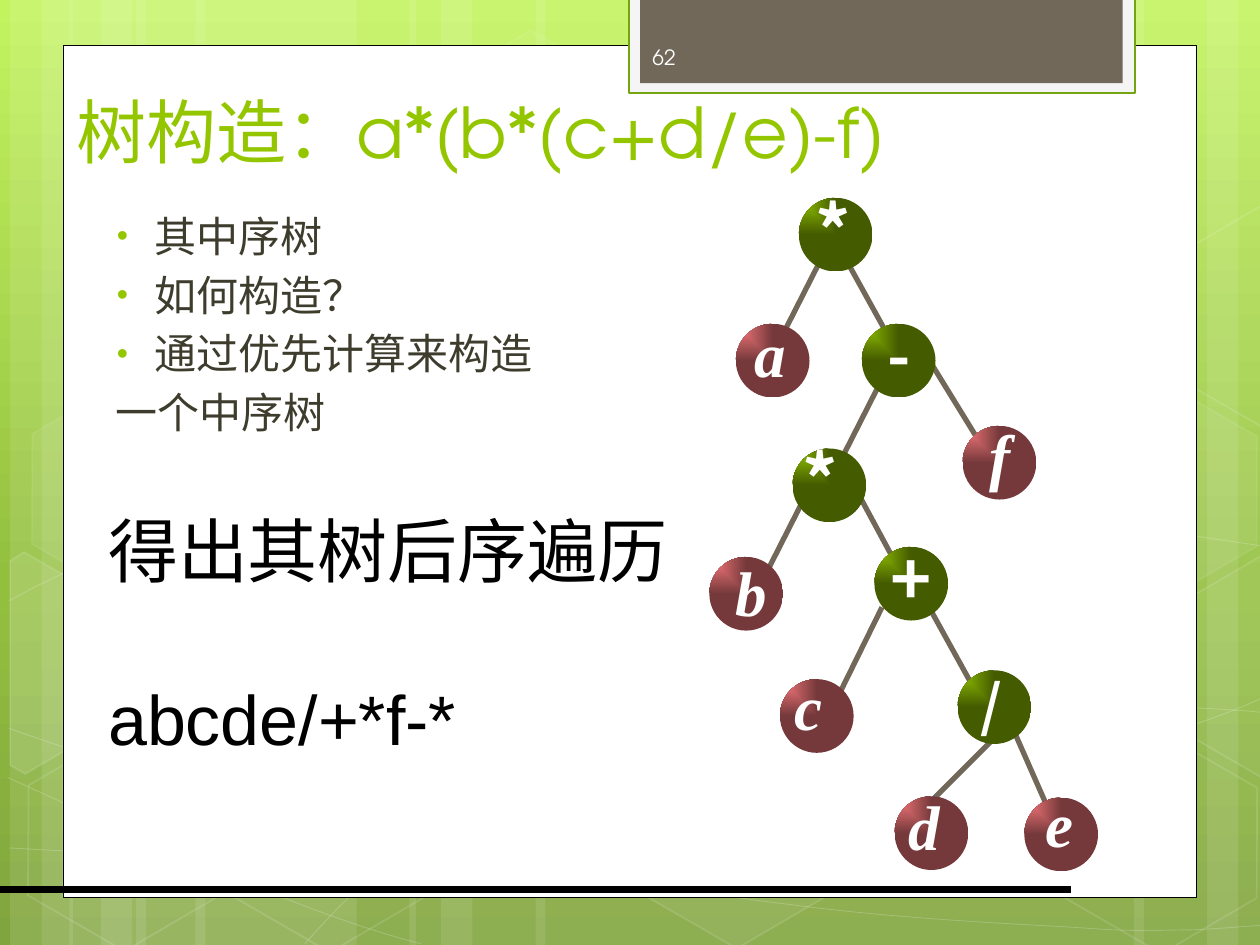
import math

import pptx
import pptx.dml.color
import pptx.enum.shapes
import pptx.enum.text
import pptx.oxml
import pptx.oxml.ns
import pptx.util

COLORS = {
    "white": "FFFFFF", "black": "000000", "lime": "94C600", "rose": "FF7C80",
    "taupe": "71685A", "frame": "F5F5F5", "frame_line": "74A510",
    "body": "3E3D2D", "number": "FEFEFE",
    "sky": "C3F35F", "meadow": "93BF3F", "ground": "81A53E",
}
HEADING_FONT, SYMBOL_FONT = "TeX Gyre Adventor", "Noto Sans CJK SC"
SHAPES = pptx.enum.shapes.MSO_SHAPE
NAMESPACE = pptx.oxml.ns.nsdecls("a")

presentation = pptx.Presentation()
presentation.slide_width = pptx.util.Inches(10)
presentation.slide_height = pptx.util.Inches(7.5)
slide = presentation.slides.add_slide(presentation.slide_layouts[6])
# Grid of 100 columns by 75 rows; every length below counts cells
CELL = presentation.slide_width // 100


def paint(shape, fill=None, alpha=100, line=None, width=1, line_alpha=100):
    """Fill and outline a shape or connector, without shadow."""
    properties = shape._element.spPr
    if fill:
        shape.fill.solid()
        shape.fill.fore_color.rgb = pptx.dml.color.RGBColor.from_string(COLORS[fill])
    elif hasattr(shape, "fill"):
        shape.fill.background()
    if line:
        shape.line.color.rgb = pptx.dml.color.RGBColor.from_string(COLORS[line])
        shape.line.width = pptx.util.Pt(width)
    else:
        shape.line.fill.background()
    for query, value in (("a:solidFill/a:srgbClr", alpha), ("a:ln/a:solidFill/a:srgbClr", line_alpha)):
        for color in properties.xpath(query):
            if value < 100:
                color.append(pptx.oxml.parse_xml(f'<a:alpha {NAMESPACE} val="{value * 1000}"/>'))
    properties.append(pptx.oxml.parse_xml(f"<a:effectLst {NAMESPACE}/>"))


def add_text(box, lines, size, font, color, anchor="TOP", wrap=True, bold=None, italic=None):
    """Add a text box at (left, top, width, height) and return its paragraphs."""
    frame = slide.shapes.add_textbox(*(round(cells * CELL) for cells in box)).text_frame
    frame.text = "\n".join(lines)
    frame.word_wrap = wrap
    frame.vertical_anchor = getattr(pptx.enum.text.MSO_ANCHOR, anchor)
    for paragraph in frame.paragraphs:
        for run in paragraph.runs:
            run.font.size = pptx.util.Pt(size)
            run.font.name = font
            run.font.bold, run.font.italic = bold, italic
            run.font.color.rgb = pptx.dml.color.RGBColor.from_string(COLORS[color])
            run.font._element.find(pptx.oxml.ns.qn("a:latin")).addnext(
                pptx.oxml.parse_xml(f'<a:ea {NAMESPACE} typeface="{font}"/>'))
    return frame.paragraphs


# Background gradient
slide.background.fill.solid()
background_fill = slide.background._cSld.bg.bgPr.find(pptx.oxml.ns.qn("a:solidFill"))
stops = "".join(
    f'<a:gs pos="{position * 1000}"><a:srgbClr val="{COLORS[name]}"/></a:gs>'
    for position, name in ((0, "sky"), (62, "meadow"), (100, "ground")))
background_fill.getparent().replace(background_fill, pptx.oxml.parse_xml(
    f'<a:gradFill {NAMESPACE} rotWithShape="1"><a:gsLst>{stops}</a:gsLst>'
    '<a:lin ang="5400000" scaled="0"/></a:gradFill>'))

# Translucent vertical bands: left, width
for left, width in (
    (10.8, 17.5), (0.8, 5), (3.3, 8.3), (15.5, 17.5), (5.5, 5), (8, 8.3),
    (73.3, 17.5), (95.8, 5), (90, 8.3), (42.5, 30.8), (32.5, 5), (35, 8.3),
):
    band = slide.shapes.add_shape(
        SHAPES.RECTANGLE, round(left * CELL), 0, round(width * CELL), presentation.slide_height)
    paint(band, "white", 10)

# Thin curves: a start point, then three points for each Bezier piece;
# the number is the index of a point reached by a straight line
for straight, points in (
    (None, [(0.7, 67.3), (6.1, 67.6), (11.5, 67.9), (19, 67.8), (26.5, 67.7), (35.8, 67.5), (45.8, 66.5),
            (55.8, 65.5), (70, 63.6), (79.2, 61.7), (88.3, 59.8), (97.7, 56.8), (100.7, 55.1)]),
    (None, [(0.7, 47.7), (3.6, 46.1), (6.5, 44.6), (12.1, 43.1), (17.8, 41.6), (25.9, 39.4), (34.7, 38.7),
            (43.6, 38), (54.4, 37.9), (65.4, 38.7), (76.4, 39.5), (94.7, 42.6), (100.7, 43.4)]),
    (None, [(0.6, 61.7), (12.7, 67.2), (24.7, 72.7), (33.4, 74.9)]),
    (None, [(0.7, 57.8), (3.8, 58.9), (7, 60), (12.8, 61.6), (18.6, 63.1), (27.3, 65.6), (35.7, 67.3),
            (44, 69), (54.5, 70.8), (62.8, 71.8), (71.1, 72.9), (80, 73.3), (85.3, 73.6),
            (90.5, 74), (91.9, 73.8), (94.5, 73.8), (97.1, 73.7), (98.9, 73.5), (100.7, 73.4)]),
    (22, [(24.2, 74.9), (26, 72.9), (27.8, 70.9), (30.2, 69.1), (32.6, 67.3), (36, 65.3), (38.8, 63.9),
          (41.6, 62.5), (43.3, 61.9), (47, 60.9), (50.6, 59.9), (57.3, 58.5), (60.8, 57.8),
          (64.4, 57.1), (64.9, 57.1), (68, 56.9), (71.1, 56.6), (76, 56.3), (79.4, 56.2),
          (82.9, 56.1), (88.6, 56.2), (88.6, 56.2), (95.3, 56.2), (97.1, 56.3), (98.8, 56.4),
          (99.7, 56.5), (100.6, 56.6), (100.3, 56.5), (100.6, 56.6)]),
):
    points = [(x * CELL, y * CELL) for x, y in points]
    builder = slide.shapes.build_freeform(*points[0])
    builder.add_line_segments(points[1:], close=False)
    curve = builder.convert_to_shape()
    segments = curve._element.spPr.xpath(".//a:lnTo")
    if straight:
        segments.pop(straight - 1)
    for index in range(0, len(segments), 3):
        bezier = pptx.oxml.parse_xml(f"<a:cubicBezTo {NAMESPACE}/>")
        segments[index].addprevious(bezier)
        for segment in segments[index:index + 3]:
            bezier.append(segment[0])
            segment.getparent().remove(segment)
    paint(curve, line="white", width=0.5, line_alpha=20)

# Hexagons: left, top, fill opacity, line opacity
TILT = 30
for left, top, alpha, line_alpha in (
    (33.4, 3.6, 4, 8), (49.7, 58.9, 6, 12), (1.1, 59.1, 0, 12), (1.4, 31.2, 7, 8), (17.4, 59.2, 0, 12),
    (75.3, 45.3, 10, 12), (83.4, 59.3, 0, 12), (83.4, 31.4, 7, 8),
):
    hexagon = slide.shapes.add_shape(
        SHAPES.HEXAGON, *(round(cells * CELL) for cells in (left, top, 17.5, 15.2)))
    hexagon.adjustments[0] = 0.285
    hexagon.rotation = TILT
    paint(hexagon, "white" if alpha else None, alpha, "white", 1, line_alpha)

# Hexagons cut off by the slide edges: opacity, centre, corners as they stand when tilted
cosine, sine = math.cos(math.radians(TILT)), math.sin(math.radians(TILT))
for alpha, (middle_x, middle_y), corners in (
    (10, (3.6, 53.5), [(0.8, 44.5), (1.9, 43.8), (9.6, 48.2), (9.5, 57), (2, 61.4), (0.8, 60.7)]),
    (4, (98.5, 52), [(92.6, 48.5), (100.1, 44.1), (100.9, 44.6), (100.9, 61.3), (100.2, 61.7), (92.6, 57.3)]),
    (0, (98.5, 24.1), [(92.6, 20.7), (100.1, 16.3), (101, 16.8), (100.9, 33.5), (100.2, 33.9), (92.6, 29.5)]),
):
    corners = [((middle_x + (x - middle_x) * cosine + (y - middle_y) * sine) * CELL,
                (middle_y - (x - middle_x) * sine + (y - middle_y) * cosine) * CELL) for x, y in corners]
    builder = slide.shapes.build_freeform(*corners[0])
    builder.add_line_segments(corners[1:], close=True)
    piece = builder.convert_to_shape()
    piece.rotation = TILT
    paint(piece, "white" if alpha else None, alpha, "white", 1, 12)

# White panel and the page number tab
for box, fill, line, width in (
    ((5, 3.6, 90, 67.6), "white", "black", 0.5),
    ((49.9, -0.2, 40.2, 7.6), "frame", "frame_line", 1.25),
    ((50.8, -0.2, 38.3, 6.8), "taupe", None, 0),
):
    panel = slide.shapes.add_shape(SHAPES.RECTANGLE, *(round(cells * CELL) for cells in box))
    paint(panel, fill, line=line, width=width)

# Bottom rule, then tree branches: from x, from y, to x, to y
branches = (
    (66.7, 19.8, 70.9, 27.4), (70.1, 29.9, 66.7, 36.6), (65.1, 20.7, 61.7, 27.4), (74, 29, 78, 35.5),
    (67.1, 37.3, 71.2, 44.9), (63.7, 39.8, 60.3, 46.5), (73.3, 47.4, 77.5, 55), (70, 48.2, 66.7, 54.9),
    (80.2, 57.4, 83.5, 64.9), (79.2, 58.3, 72.6, 64.9),
)
for ends, color, width in [((0, 70.6, 85, 70.6), "black", 4.5)] + [(ends, "taupe", 3) for ends in branches]:
    connector = slide.shapes.add_connector(
        pptx.enum.shapes.MSO_CONNECTOR.STRAIGHT, *(round(cells * CELL) for cells in ends))
    paint(connector, line=color, width=width)

# Tree nodes: label, node left and top, label left, top and width, label size
NODE = 5.85
LABEL_HEIGHTS = {40: 7.7, 36: 7, 32: 6.3}
for label, left, top, label_left, label_top, label_width, size in (
    ("*", 63.4, 15.7, 63.7, 14.4, 4.8, 40), ("a", 58.4, 25.7, 58.9, 24.5, 4.5, 36),
    ("-", 68.4, 25.7, 69.1, 24.6, 4.5, 36), ("*", 62.9, 35.6, 62.7, 34.1, 4.8, 40),
    ("f", 76.4, 33.8, 77.5, 32.6, 3.7, 36), ("b", 56.3, 44.2, 57.4, 43.4, 4.5, 36),
    ("+", 69.4, 43.4, 69.7, 42, 4.8, 40), ("c", 61.9, 53.9, 62, 52.5, 4.3, 36),
    ("/", 76, 53.2, 76.6, 52.7, 4.2, 32), ("d", 71, 63.2, 71.1, 62, 4.5, 36),
    ("e", 81.3, 63.3, 82, 61.8, 4.2, 36),
):
    leaf = label.isalpha()
    node = slide.shapes.add_shape(SHAPES.OVAL, *(round(cells * CELL) for cells in (left, top, NODE, NODE)))
    base = COLORS["rose" if leaf else "lime"]
    paint(node, "rose" if leaf else "lime")
    solid = node._element.spPr.find(pptx.oxml.ns.qn("a:solidFill"))
    solid.getparent().replace(solid, pptx.oxml.parse_xml(
        f'<a:gradFill {NAMESPACE} rotWithShape="1"><a:gsLst><a:gs pos="0"><a:srgbClr val="{base}"/></a:gs>'
        f'<a:gs pos="100000"><a:srgbClr val="{base}"><a:gamma/><a:shade val="46275"/><a:invGamma/></a:srgbClr>'
        '</a:gs></a:gsLst><a:path path="rect"><a:fillToRect r="100000" b="100000"/></a:path></a:gradFill>'))
    font = "Times New Roman" if leaf else SYMBOL_FONT
    paragraph = add_text((label_left, label_top, label_width, LABEL_HEIGHTS[size]), [label],
                         size, font, "white", "MIDDLE", False, True, leaf)[0]
    paragraph.alignment = pptx.enum.text.PP_ALIGN.CENTER

# Title and page number
add_text((5.1, 4.5, 68.5, 9.7), ["树构造：a*(b*(c+d/e)-f)"], 40, HEADING_FONT, "lime", "BOTTOM")
add_text((50.8, 2.5, 14.6, 4), ["62"], 12, HEADING_FONT, "number", "MIDDLE")

# Bulleted notes; the last line continues without a bullet
notes = add_text((7.5, 16.2, 78.1, 20.6), ["其中序树", "如何构造？", "通过优先计算来构造", "一个中序树"],
                 24, HEADING_FONT, "body")
for index, paragraph in enumerate(notes):
    if index:
        paragraph.space_before = pptx.util.Pt(4.8)
    properties = paragraph._p.get_or_add_pPr()
    bulleted = index < len(notes) - 1
    properties.set("marL", str(round((3.8 if bulleted else 0.7) * CELL)))
    properties.set("indent", str(round((-3 if bulleted else 0) * CELL)))
    if bulleted:
        for tag in (f'<a:buClr {NAMESPACE}><a:srgbClr val="{COLORS["lime"]}"/></a:buClr>',
                    f'<a:buSzPct {NAMESPACE} val="76000"/>', f'<a:buFont {NAMESPACE} typeface="Arial"/>',
                    f'<a:buChar {NAMESPACE} char="•"/>'):
            properties.append(pptx.oxml.parse_xml(tag))

# Postorder result
result = add_text((7.6, 39.8, 50, 21.2), ["得出其树后序遍历", "abcde/+*f-*"], 40, "Arial", "black")
result[1].space_before = pptx.util.Pt(48)

presentation.save("out.pptx")
